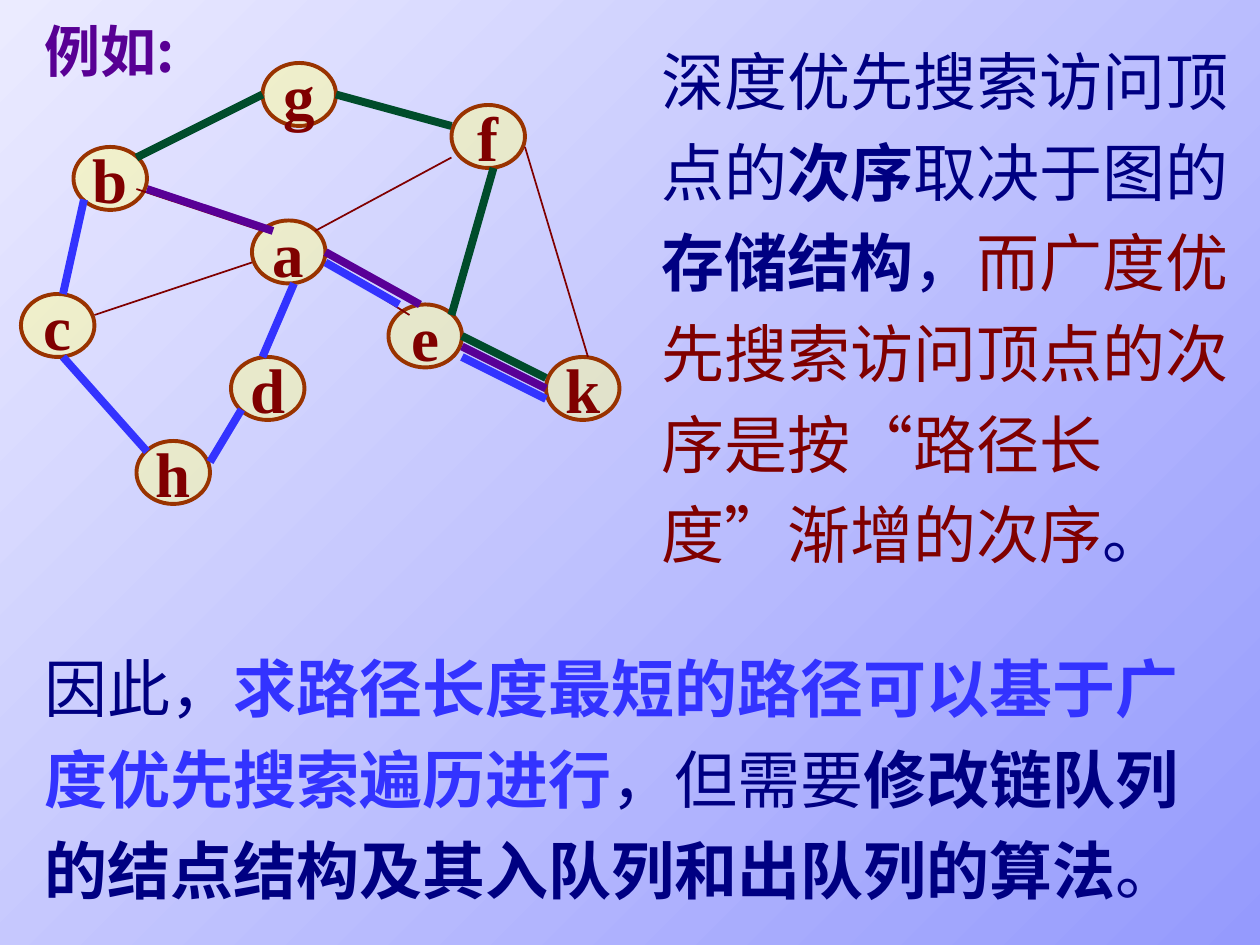
from typing import NamedTuple

from lxml import etree
from pptx import Presentation
from pptx import util as u
from pptx.dml.color import RGBColor
from pptx.enum import shapes, text
from pptx.oxml.ns import qn

NAVY = RGBColor(0x00, 0x00, 0x82)
BLUE = RGBColor(0x33, 0x33, 0xFF)
PURPLE = RGBColor(0x59, 0x00, 0x96)
LABEL_PURPLE = RGBColor(0x58, 0x00, 0x94)
GREEN = RGBColor(0x00, 0x4C, 0x2B)
MAROON = RGBColor(0x80, 0x00, 0x00)
BROWN = RGBColor(0x99, 0x33, 0x00)
CREAM = RGBColor(0xFF, 0xFF, 0x99)
SKY_DARK = RGBColor(0x95, 0x9A, 0xFD)
SKY_LIGHT = RGBColor(0xEB, 0xEB, 0xFF)
SERIF = "Times New Roman"
CHINESE = "Noto Sans CJK SC"
NODE_WIDTH, NODE_HEIGHT = 7, 6


class Node(NamedTuple):
    name: str
    left: int
    top: int


class Edge(NamedTuple):
    x1: int
    y1: int
    x2: int
    y2: int


class Span(NamedTuple):
    words: str
    color: RGBColor = NAVY
    bold: bool = False


NODES = [
    Node("a", 24, 21), Node("b", 7, 14), Node("c", 2, 28),
    Node("h", 13, 42), Node("d", 22, 34), Node("e", 37, 29),
    Node("k", 52, 34), Node("f", 43, 10), Node("g", 25, 6),
]
CH, GF, AD, DH = Edge(6, 34, 14, 43), Edge(32, 9, 43, 12), Edge(28, 27, 25, 34), Edge(23, 39, 20, 44)
EK, FE, BG = Edge(44, 33, 52, 37), Edge(47, 16, 43, 30), Edge(13, 15, 25, 9)
GRAPH_EDGES = [
    Edge(24, 25, 9, 30), CH, GF, AD, DH, EK, Edge(31, 25, 39, 30),
    Edge(50, 14, 56, 34), FE, BG, Edge(13, 18, 25, 22),
    Edge(43, 15, 30, 22), Edge(8, 20, 6, 28),
]
BLUE_PATH = [Edge(8, 19, 6, 28), CH, DH, AD, Edge(31, 25, 38, 29), Edge(44, 34, 52, 38)]
PURPLE_PATH = [Edge(14, 18, 26, 22), Edge(31, 24, 40, 29), EK]
GREEN_PATH = [BG, GF, FE, Edge(44, 32, 52, 36)]

ORDER_TEXT = [
    Span("深度优先搜索访问顶点的"),
    Span("次序", bold=True),
    Span("取决于图的"),
    Span("存储结构", bold=True),
    Span("，"),
    Span("而广度优先搜索访问顶点的次序是按“路径长度”渐增的次序", MAROON),
    Span("。"),
]
CONCLUSION_TEXT = [
    Span("因此，"),
    Span("求路径长度最短的路径可以基于广度优先搜索遍历进行", BLUE, True),
    Span("，但需要"),
    Span("修改链队列的结点结构及其入队列和出队列的算法", bold=True),
    Span("。"),
]


def grid(steps: int) -> u.Length:
    """The graph sits on a grid of twelve steps to 2.54 cm."""
    return u.Cm(steps * 2.54 / 12)


def add_span(para, span: Span, *, size: int = 36, font: str = SERIF) -> None:
    run = para.add_run()
    run.text = span.words
    run.font.size = u.Pt(size)
    run.font.bold = span.bold
    run.font.color.rgb = span.color
    run.font.name = font
    etree.SubElement(run.font._element, qn("a:ea"), typeface=CHINESE)


def add_text(page, spans: list[Span], *, left: float, top: float, width: float,
             height: float, size: int = 36, font: str = SERIF, spacing: float = 1.2) -> None:
    box = page.shapes.add_textbox(u.Cm(left), u.Cm(top), u.Cm(width), u.Cm(height))
    frame = box.text_frame
    frame.word_wrap = True
    frame.auto_size = text.MSO_AUTO_SIZE.SHAPE_TO_FIT_TEXT
    para = frame.paragraphs[0]
    para.line_spacing = spacing
    for span in spans:
        add_span(para, span, size=size, font=font)


def add_node(group, node: Node) -> None:
    oval = group.shapes.add_shape(shapes.MSO_SHAPE.OVAL, grid(node.left), grid(node.top),
                                  grid(NODE_WIDTH), grid(NODE_HEIGHT))
    oval.shadow.inherit = False
    oval.fill.solid()
    oval.fill.fore_color.rgb = CREAM
    color = oval._element.spPr.find(qn("a:solidFill"))[0]
    etree.SubElement(color, qn("a:alpha"), val="50000")
    oval.line.color.rgb = BROWN
    oval.line.width = u.Pt(2.25)
    frame = oval.text_frame
    frame.word_wrap = False
    frame.vertical_anchor = text.MSO_ANCHOR.MIDDLE
    para = frame.paragraphs[0]
    para.alignment = text.PP_ALIGN.CENTER
    add_span(para, Span(node.name, MAROON, True))


def add_edges(parent, edges: list[Edge], *, color: RGBColor, width: float = 4.5) -> None:
    for edge in edges:
        line = parent.shapes.add_connector(shapes.MSO_CONNECTOR.STRAIGHT,
                                           *(grid(step) for step in edge))
        line.line.color.rgb = color
        line.line.width = u.Pt(width)
        etree.SubElement(line._element.spPr, qn("a:effectLst"))


def paint_background(page) -> None:
    fill = page.background.fill
    fill.gradient()
    fill.gradient_angle = 135
    for stop, color, position in zip(fill.gradient_stops, (SKY_DARK, SKY_LIGHT), (0, 1)):
        stop.color.rgb = color
        stop.position = position


def main() -> None:
    deck = Presentation()
    deck.slide_width, deck.slide_height = u.Cm(25.4), u.Cm(19.05)
    page = deck.slides.add_slide(deck.slide_layouts[6])
    paint_background(page)

    add_text(page, CONCLUSION_TEXT, left=0.64, top=12.67, width=24.33, height=5.74)
    graph = page.shapes.add_group_shape()
    for node in NODES:
        add_node(graph, node)
    add_edges(graph, GRAPH_EDGES, color=MAROON, width=1)
    add_edges(page, BLUE_PATH, color=BLUE)
    add_edges(page, PURPLE_PATH, color=PURPLE)
    add_text(page, ORDER_TEXT, left=13.08, top=0.43, width=12.52, height=11.23)
    add_edges(page, GREEN_PATH, color=GREEN)
    add_text(page, [Span("例如:", LABEL_PURPLE, True)], left=0.64, top=0.2, width=3.81,
             height=1.63, size=32, font=CHINESE, spacing=1.0)
    deck.save("out.pptx")


if __name__ == "__main__":
    main()
